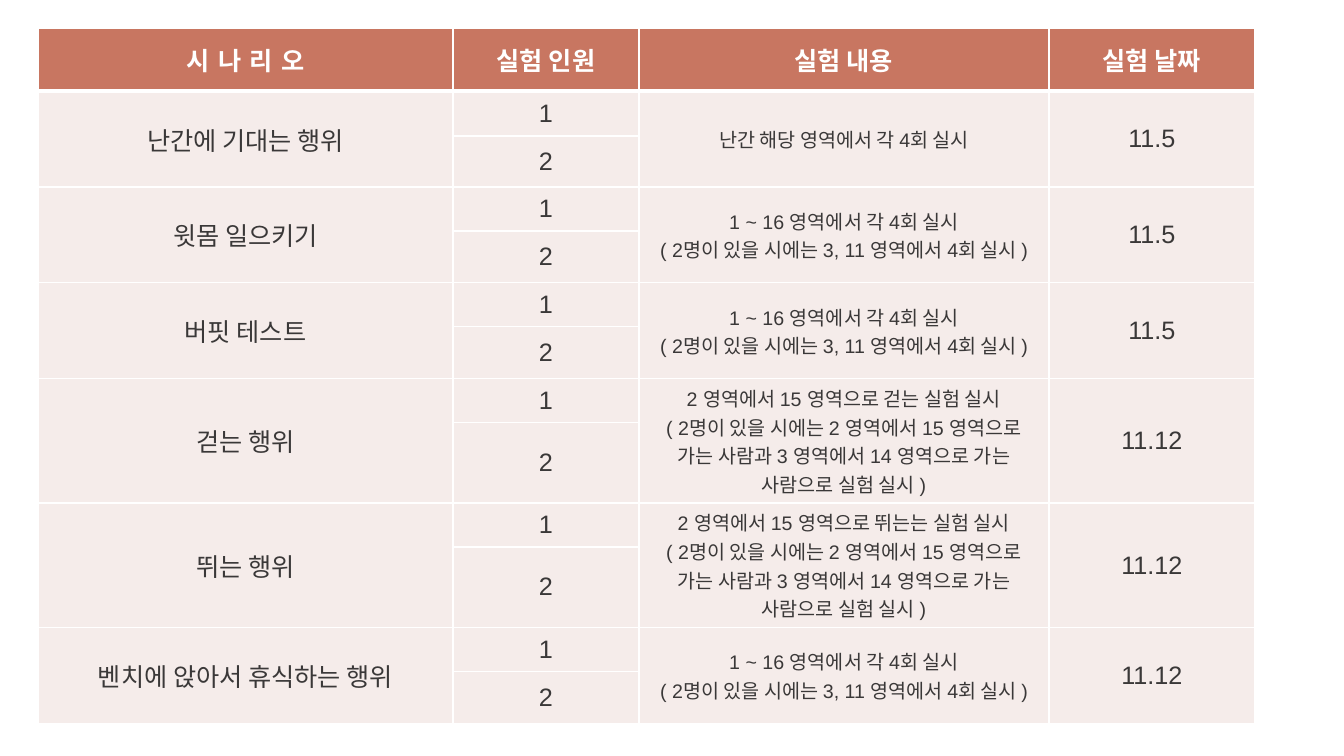
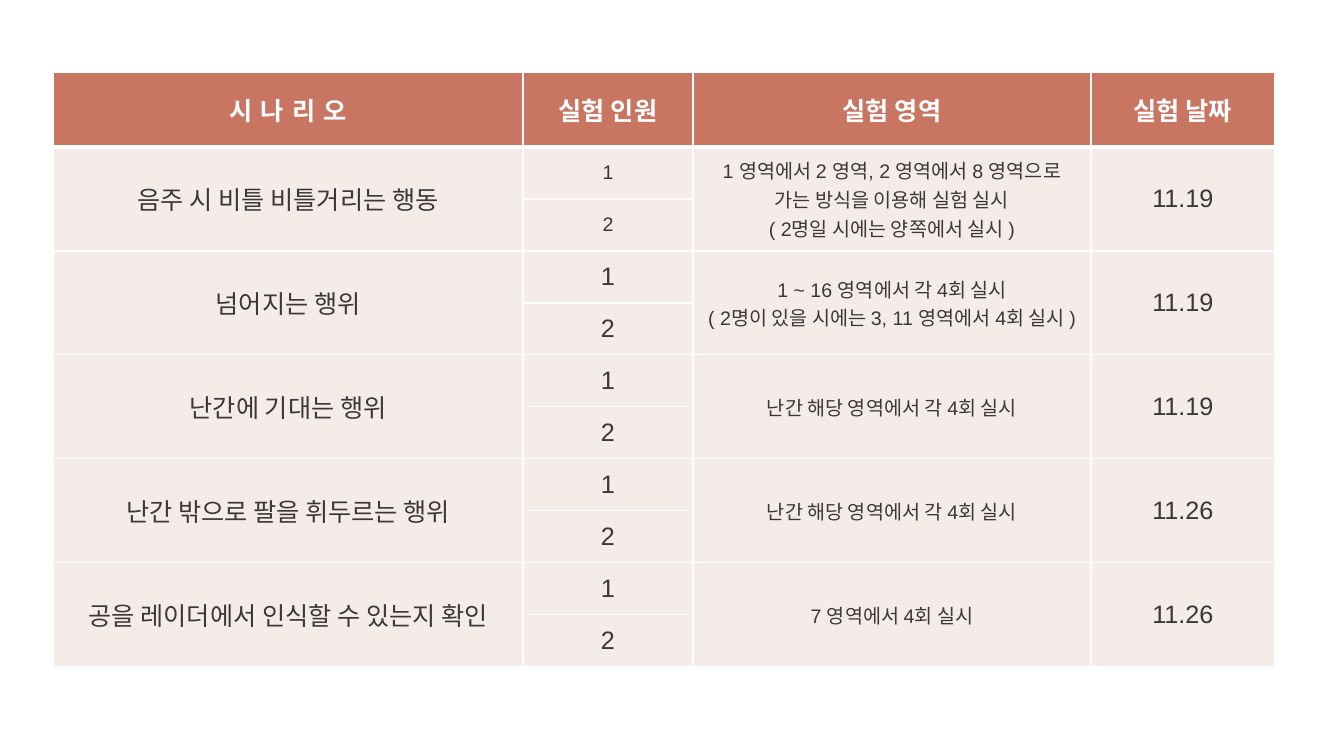
"""Build two slides of experiment schedule tables."""
from lxml import etree
from pptx import Presentation
from pptx.dml.color import RGBColor
from pptx.enum.text import MSO_ANCHOR, PP_ALIGN
from pptx.oxml.ns import qn
from pptx.util import Pt

CENTER = PP_ALIGN.CENTER
MIDDLE = MSO_ANCHOR.MIDDLE
WHITE = RGBColor(0xFF, 0xFF, 0xFF)
TERRACOTTA = RGBColor(0xC8, 0x76, 0x61)
BLUSH = RGBColor(0xF5, 0xEC, 0xEA)
CHARCOAL = RGBColor(0x3A, 0x38, 0x38)
FONT = "Arial"
LARGE, SMALL = 18, 14
THIN, THICK = 1, 3
SCALE = 914400 / 100.8


def px(length):
    return round(length * SCALE)


def style_cell(cell, lines, size, color, fill, bold=False, top=THIN, bottom=THIN, spacing=0):
    properties = cell._tc.get_or_add_tcPr()
    for side, width in (("L", THIN), ("R", THIN), ("T", top), ("B", bottom)):
        line = etree.SubElement(properties, qn(f"a:ln{side}"), w=str(Pt(width)))
        solid = etree.SubElement(line, qn("a:solidFill"))
        etree.SubElement(solid, qn("a:srgbClr"), val=str(WHITE))
    cell.fill.solid()
    cell.fill.fore_color.rgb = fill
    cell.vertical_anchor = MIDDLE
    frame = cell.text_frame
    for index, text in enumerate(lines):
        paragraph = frame.add_paragraph() if index else frame.paragraphs[0]
        paragraph.alignment = CENTER
        run = paragraph.add_run()
        run.text = text
        run.font.name = FONT
        run.font.size = Pt(size)
        run.font.bold = bold
        run.font.color.rgb = color
        if spacing:
            run._r.get_or_add_rPr().set("spc", str(spacing * 100))


RAILING = ["난간 해당 영역에서 각 4회 실시"]
ALL_AREAS = ["1 ~ 16 영역에서 각 4회 실시", "( 2명이 있을 시에는 3, 11 영역에서 4회 실시 )"]
CROSSING = "( 2명이 있을 시에는 2 영역에서 15 영역으로 가는 사람과 3 영역에서 14 영역으로 가는 사람으로 실험 실시 )"
STAGGERING = ["1 영역에서 2 영역, 2 영역에서 8 영역으로 가는 방식을 이용해 실험 실시",
              "( 2명일 시에는 양쪽에서 실시 )"]

TABLES = [
    {
        "position": (38, 28),
        "columns": [415, 186, 410, 206],
        "rows": [63, 45, 51] + [44, 51] * 4 + [44, 44],
        "content_header": "실험 내용",
        "scenarios": [
            ("난간에 기대는 행위", LARGE, RAILING, "11.5"),
            ("윗몸 일으키기", LARGE, ALL_AREAS, "11.5"),
            ("버핏 테스트", LARGE, ALL_AREAS, "11.5"),
            ("걷는 행위", LARGE, ["2 영역에서 15 영역으로 걷는 실험 실시", CROSSING], "11.12"),
            ("뛰는 행위", LARGE, ["2 영역에서 15 영역으로 뛰는는 실험 실시", CROSSING], "11.12"),
            ("벤치에 앉아서 휴식하는 행위", LARGE, ALL_AREAS, "11.12"),
        ],
    },
    {
        "position": (53, 72),
        "columns": [470, 170, 398, 184],
        "rows": [75] + [52] * 10,
        "content_header": "실험 영역",
        "scenarios": [
            ("음주 시 비틀 비틀거리는 행동", SMALL, STAGGERING, "11.19"),
            ("넘어지는 행위", LARGE, ALL_AREAS, "11.19"),
            ("난간에 기대는 행위", LARGE, RAILING, "11.19"),
            ("난간 밖으로 팔을 휘두르는 행위", LARGE, RAILING, "11.26"),
            ("공을 레이더에서 인식할 수 있는지 확인", LARGE, ["7 영역에서 4회 실시"], "11.26"),
        ],
    },
]

presentation = Presentation()
presentation.slide_width = px(1344)
presentation.slide_height = px(756)
blank_layout = presentation.slide_layouts[6]

for schedule in TABLES:
    slide = presentation.slides.add_slide(blank_layout)
    left, top = schedule["position"]
    columns, rows = schedule["columns"], schedule["rows"]
    table = slide.shapes.add_table(len(rows), len(columns), px(left), px(top),
                                   px(sum(columns)), px(sum(rows))).table
    for column, width in zip(table.columns, columns):
        column.width = px(width)
    for row, height in zip(table.rows, rows):
        row.height = px(height)

    headers = ["시나리오", "실험 인원", schedule["content_header"], "실험 날짜"]
    for index, header in enumerate(headers):
        style_cell(table.cell(0, index), [header], LARGE, WHITE, TERRACOTTA, bold=True,
                   bottom=THICK, spacing=0 if index else 6)

    for index, (scenario, people_size, content, date) in enumerate(schedule["scenarios"]):
        first = 1 + 2 * index
        edge = THIN if index else THICK
        upper = [([scenario], LARGE), (["1"], people_size), (content, SMALL), ([date], LARGE)]
        lower = [([], LARGE), (["2"], people_size), ([], SMALL), ([], LARGE)]
        for offset, values in enumerate((upper, lower)):
            for column, (lines, size) in enumerate(values):
                style_cell(table.cell(first + offset, column), lines, size, CHARCOAL, BLUSH,
                           top=THIN if offset else edge)
        for column in (0, 2, 3):
            table.cell(first, column).merge(table.cell(first + 1, column))

presentation.save("out.pptx")
